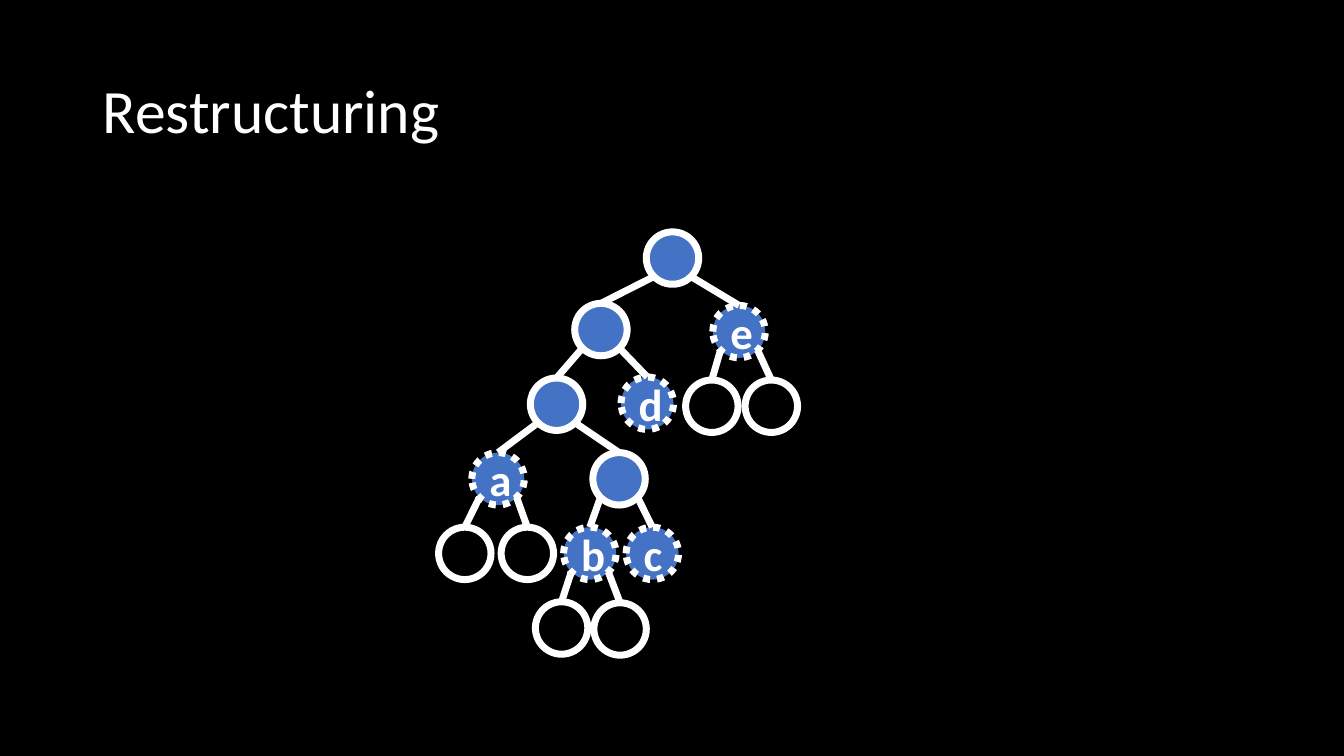
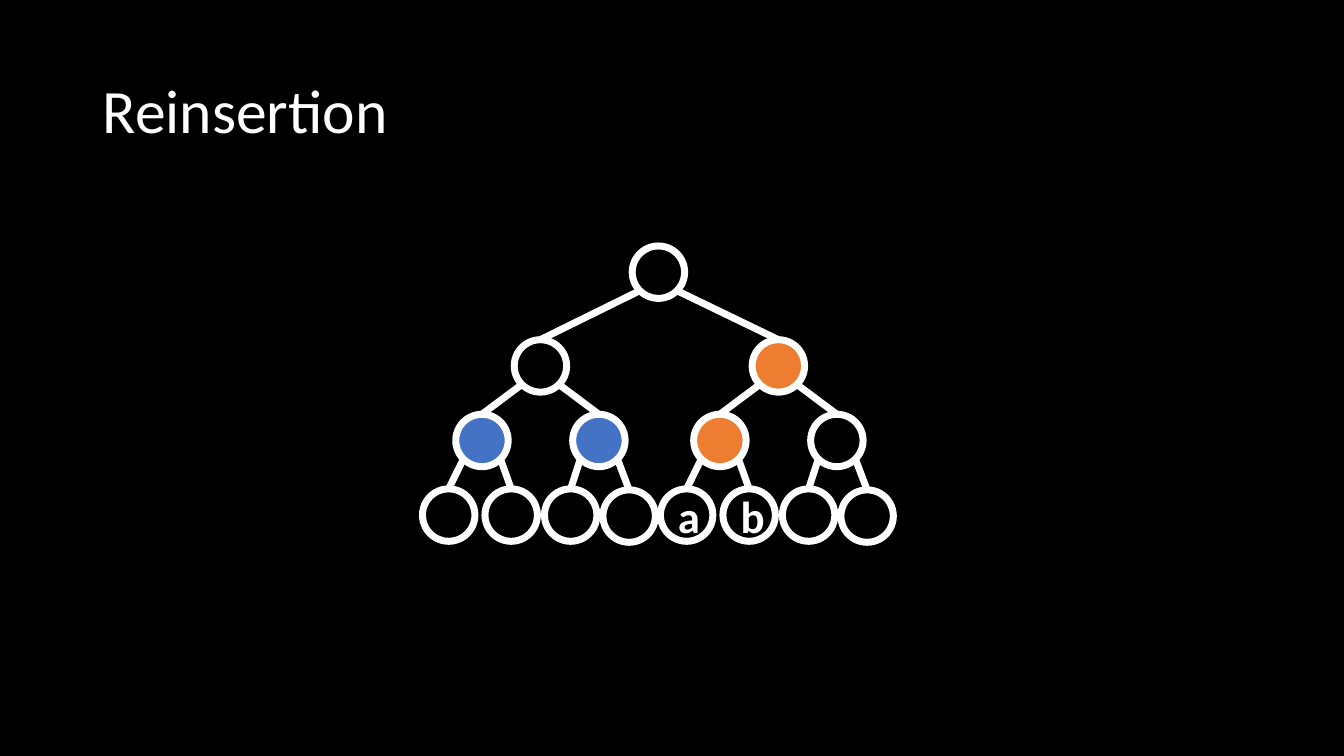
from math import sqrt

from lxml.etree import SubElement
from pptx import Presentation
from pptx.dml.color import RGBColor
from pptx.enum.dml import MSO_LINE
from pptx.enum.shapes import MSO_CONNECTOR, MSO_SHAPE
from pptx.enum.text import MSO_ANCHOR, PP_ALIGN
from pptx.oxml.ns import qn
from pptx.util import Inches, Pt

BLACK = RGBColor(0x00, 0x00, 0x00)
WHITE = RGBColor(0xFF, 0xFF, 0xFF)
BLUE = RGBColor(0x44, 0x72, 0xC4)
ORANGE = RGBColor(0xED, 0x7D, 0x31)

TITLE_FONT = {"name": "Calibri", "size": Pt(44)}
LABEL_FONT = {"name": "Calibri", "size": Pt(32), "bold": True}
DIAMETER = 0.52
RADIUS = DIAMETER / 2
DIAGONAL = RADIUS / sqrt(2)


def write(frame, text, font_format):
    paragraph = frame.paragraphs[0]
    run = paragraph.add_run()
    run.text = text
    for attribute, value in font_format.items():
        setattr(run.font, attribute, value)
    run.font.color.rgb = WHITE
    return paragraph


def outline(line):
    line.color.rgb = WHITE
    line.width = Pt(5)


# Trees: node key -> (parent key, left, top, fill, label)
restructuring = {
    "root": (None, 6.41, 2.30, BLUE, ""),
    "left": ("root", 5.70, 3.01, BLUE, ""),
    "e": ("root", 7.07, 3.03, BLUE, "e"),
    "e left": ("e", 6.80, 3.77, None, ""),
    "e right": ("e", 7.39, 3.77, None, ""),
    "pivot": ("left", 5.26, 3.75, BLUE, ""),
    "d": ("left", 6.16, 3.74, BLUE, "d"),
    "a": ("pivot", 4.68, 4.49, BLUE, "a"),
    "inner": ("pivot", 5.88, 4.49, BLUE, ""),
    "a left": ("a", 4.35, 5.23, None, ""),
    "a right": ("a", 4.97, 5.23, None, ""),
    "b": ("inner", 5.59, 5.23, BLUE, "b"),
    "c": ("inner", 6.21, 5.23, BLUE, "c"),
    "b left": ("b", 5.31, 5.97, None, ""),
    "b right": ("b", 5.89, 5.98, None, ""),
}

# Both halves of the second tree have the same layout
reinsertion = {"root": (None, 6.27, 2.44, None, "")}
halves = [
    ("left", 5.10, (None, BLUE, BLUE), ("", "")),
    ("right", 7.46, (ORANGE, ORANGE, None), ("a", "b")),
]
for half, left, (top_fill, first_fill, second_fill), (label_1, label_2) in halves:
    first, second = half + " first", half + " second"
    reinsertion[half] = ("root", left, 3.37, top_fill, "")
    reinsertion[first] = (half, left - 0.58, 4.11, first_fill, "")
    reinsertion[second] = (half, left + 0.58, 4.11, second_fill, "")
    reinsertion[first + " 1"] = (first, left - 0.91, 4.85, None, label_1)
    reinsertion[first + " 2"] = (first, left - 0.29, 4.85, None, label_2)
    reinsertion[second + " 1"] = (second, left + 0.30, 4.85, None, "")
    reinsertion[second + " 2"] = (second, left + 0.88, 4.86, None, "")

# Presentation with a shared black background
prs = Presentation()
prs.slide_width, prs.slide_height = Inches(13.33), Inches(7.5)
background = prs.slide_master.background.fill
background.solid()
background.fore_color.rgb = BLACK
blank = prs.slide_layouts[6]

for heading, tree in [("Restructuring", restructuring), ("Reinsertion", reinsertion)]:
    slide = prs.slides.add_slide(blank)

    # Title
    title = slide.shapes.add_textbox(Inches(0.92), Inches(0.4), Inches(11.5), Inches(1.45))
    title.text_frame.word_wrap = True
    title.text_frame.vertical_anchor = MSO_ANCHOR.MIDDLE
    write(title.text_frame, heading, TITLE_FONT).line_spacing = 0.9

    # Nodes
    circles = {}
    for key, (parent, left, top, fill, label) in tree.items():
        node = slide.shapes.add_shape(
            MSO_SHAPE.OVAL, Inches(left), Inches(top), Inches(DIAMETER), Inches(DIAMETER))
        node.shadow.inherit = False
        outline(node.line)
        if fill is None:
            node.fill.background()
        else:
            node.fill.solid()
            node.fill.fore_color.rgb = fill
        if label:
            node.text_frame.vertical_anchor = MSO_ANCHOR.MIDDLE
            write(node.text_frame, label, LABEL_FONT).alignment = PP_ALIGN.CENTER
            if fill is not None:
                node.line.dash_style = MSO_LINE.ROUND_DOT
        circles[key] = node

    # Edges: from the lower diagonal of a parent to the top of its child
    for key, (parent, left, top, fill, label) in tree.items():
        if parent is None:
            continue
        parent_left, parent_top = tree[parent][1:3]
        side = -1 if left < parent_left else 1
        edge = slide.shapes.add_connector(
            MSO_CONNECTOR.STRAIGHT,
            Inches(parent_left + RADIUS + side * DIAGONAL),
            Inches(parent_top + RADIUS + DIAGONAL),
            Inches(left + RADIUS), Inches(top))
        edge.end_connect(circles[key], 0)
        outline(edge.line)
        SubElement(edge.line._get_or_add_ln().getparent(), qn("a:effectLst"))

prs.save("out.pptx")
